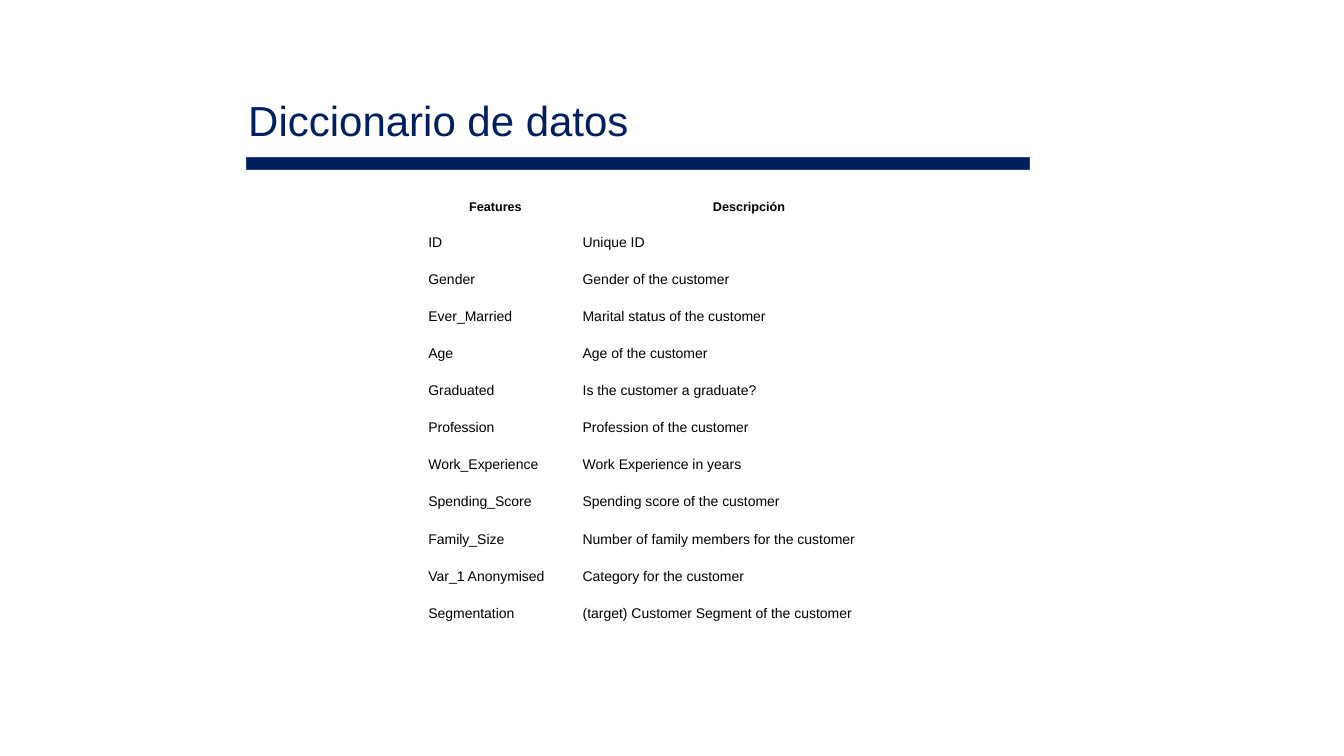
from pptx import Presentation
from pptx.dml.color import RGBColor
from pptx.enum.shapes import MSO_SHAPE
from pptx.enum.text import MSO_AUTO_SIZE, PP_ALIGN
from pptx.util import Pt

RECTANGLE = MSO_SHAPE.RECTANGLE
GROW = MSO_AUTO_SIZE.SHAPE_TO_FIT_TEXT
CENTER = PP_ALIGN.CENTER

NAVY = RGBColor(0x00, 0x1F, 0x5F)
BLUE = RGBColor(0x1F, 0x49, 0x7D)
BLACK = RGBColor(0, 0, 0)
FONT = "Arial"

HEADER = ("Features", "Descripción")
FEATURES = [
    ("ID", "Unique ID"),
    ("Gender", "Gender of the customer"),
    ("Ever_Married", "Marital status of the customer"),
    ("Age", "Age of the customer"),
    ("Graduated", "Is the customer a graduate?"),
    ("Profession", "Profession of the customer"),
    ("Work_Experience", "Work Experience in years"),
    ("Spending_Score", "Spending score of the customer"),
    ("Family_Size", "Number of family members for the customer"),
    ("Var_1 Anonymised", "Category for the customer"),
    ("Segmentation", "(target) Customer Segment of the customer"),
]


def format_run(r, size, color, bold=False):
    r.font.name = FONT
    r.font.size = Pt(size)
    r.font.bold = bold
    r.font.color.rgb = color


def add_heading(s, text, left, top, width):
    sp = s.shapes.add_textbox(Pt(left), Pt(top), Pt(472), Pt(37.4))
    tf = sp.text_frame
    tf.word_wrap = True
    tf.auto_size = GROW
    tf.margin_left = tf.margin_top = Pt(0.9)
    tf.margin_right = tf.margin_bottom = 0
    tf.text = text
    format_run(tf.paragraphs[0].runs[0], 30, NAVY)

    bar = s.shapes.add_shape(RECTANGLE, Pt(left), Pt(top + 46.4), Pt(width), Pt(8.2))
    bar.shadow.inherit = False
    bar.fill.solid()
    bar.fill.fore_color.rgb = NAVY
    bar.line.color.rgb = BLUE
    bar.line.width = Pt(0.75)


def fill_cell(cell, text, is_header):
    cell.fill.background()
    cell.margin_left = cell.margin_right = Pt(7.2)
    cell.margin_top = cell.margin_bottom = Pt(7.2)
    cell.text_frame.text = text
    p = cell.text_frame.paragraphs[0]
    if is_header:
        p.alignment = CENTER
        p.line_spacing = 1.15
    format_run(p.runs[0], 9 if is_header else 10, BLACK, is_header)


def add_dictionary(s, left, top, widths, header_height, row_height):
    rows = [HEADER] + FEATURES
    height = header_height + row_height * len(FEATURES)
    table = s.shapes.add_table(len(rows), len(widths), Pt(left), Pt(top),
                               Pt(sum(widths)), Pt(height)).table
    table.horz_banding = False
    table.first_row = False
    for column, width in zip(table.columns, widths):
        column.width = Pt(width)
    for i, texts in enumerate(rows):
        table.rows[i].height = Pt(row_height if i else header_height)
        for j, text in enumerate(texts):
            fill_cell(table.cell(i, j), text, i == 0)


def main():
    prs = Presentation()
    prs.slide_width, prs.slide_height = Pt(960), Pt(540)
    s = prs.slides.add_slide(prs.slide_layouts[6])
    add_heading(s, "Diccionario de datos", 176.4, 66.4, 558.8)
    add_dictionary(s, 298.8, 133.9, (110.2, 252), 25.4, 26.4)
    prs.save("out.pptx")


if __name__ == "__main__":
    main()
